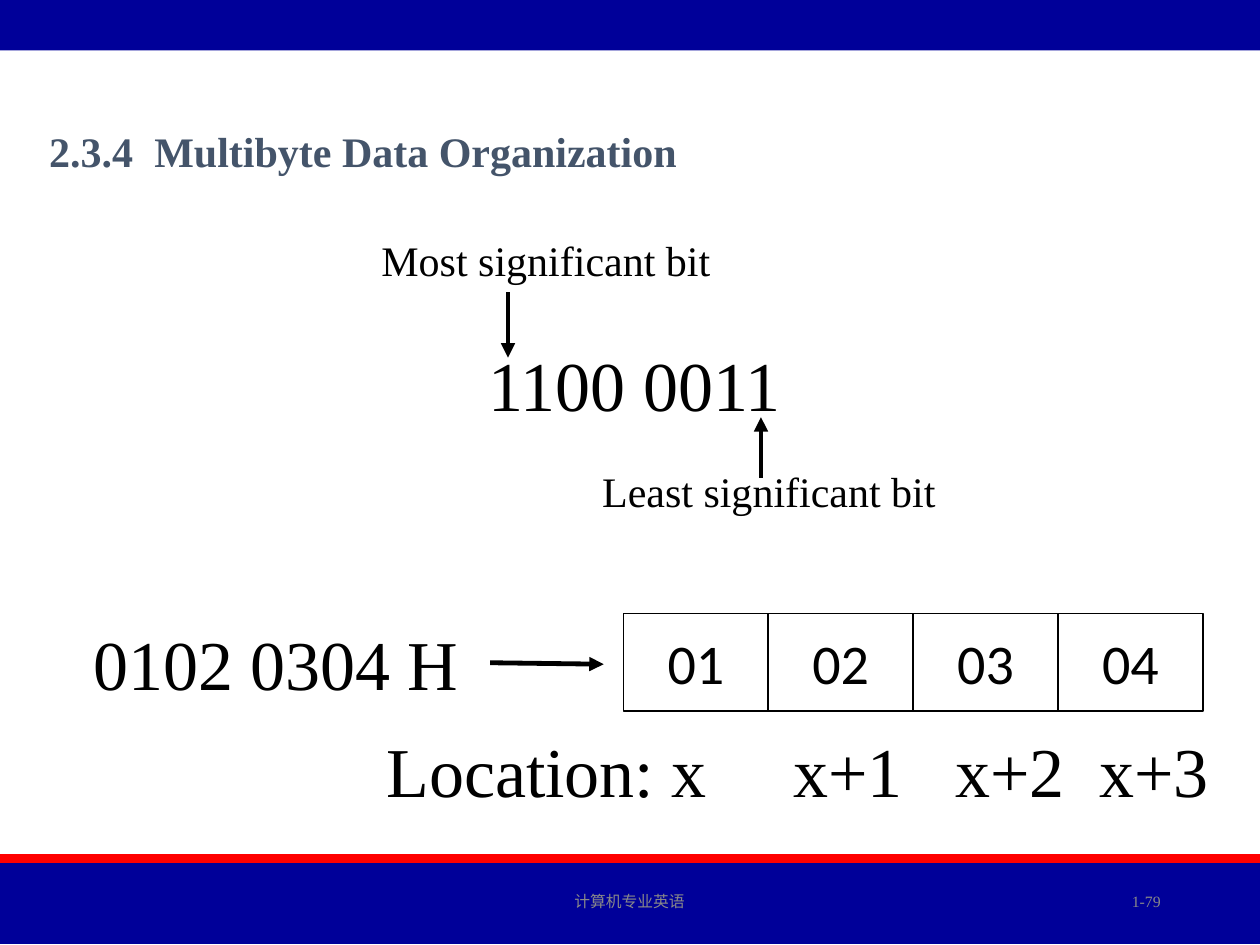
from dataclasses import dataclass

from lxml import etree
from pptx import Presentation
from pptx import util as u
from pptx.dml.color import RGBColor
from pptx.enum import shapes, text
from pptx.oxml.ns import qn


@dataclass(frozen=True)
class Theme:
    navy: str = "000099"
    red: str = "FF0000"
    slate: str = "44546A"
    gray: str = "898989"
    ink: str = "000000"
    serif: str = "Times New Roman"
    sans: str = "Calibri"
    small: int = 9
    label: int = 24
    cell: int = 32
    large: int = 40
    border: float = 1
    arrow: float = 2.75


THEME = Theme()
LEFT, CENTER, RIGHT = text.PP_ALIGN.LEFT, text.PP_ALIGN.CENTER, text.PP_ALIGN.RIGHT
TOP, MIDDLE = text.MSO_ANCHOR.TOP, text.MSO_ANCHOR.MIDDLE

TITLE = ("2.3.4\tMultibyte Data Organization", (0.74, 2.39, 20.73, 1.27), [2.12])
BANDS = [
    (0, 1.02, THEME.navy),
    (17.22, 0.18, THEME.red),
    (17.4, 1.63, THEME.navy),
]
FOOTERS = [
    ("计算机专业英语", (8.41, 17.65, 8.56, 1.02), CENTER),
    ("1-79", (17.93, 17.65, 5.72, 1.02), RIGHT),
]
LABELS = [
    ("1100 0011", (9.6, 6.76, 8.43, 1.96), THEME.large, []),
    ("Most significant bit", (7.44, 4.6, 7.3, 1.27), THEME.label, []),
    ("Least significant bit", (11.89, 9.25, 7.4, 1.27), THEME.label, []),
    ("0102 0304 H", (1.63, 12.37, 8.2, 1.96), THEME.large, []),
    ("Location: x\tx+1\tx+2\tx+3", (7.54, 14.53, 17.4, 1.96), THEME.large,
     [8.2, 11.47, 14.37]),
]
ARROWS = [
    (10.24, 5.89, 10.24, 7.21),
    (15.34, 9.63, 15.34, 8.41),
    (9.88, 13.36, 12.17, 13.39),
]
BYTES = ["01", "02", "03", "04"]
BYTE_LEFT, BYTE_TOP, BYTE_WIDTH, BYTE_HEIGHT = 12.57, 12.37, 2.92, 1.96


def lengths(values):
    return [u.Cm(value) for value in values]


def write(shape, words, size, color=THEME.ink, font=THEME.serif,
          align=LEFT, anchor=TOP, bold=False, tabs=()):
    frame = shape.text_frame
    frame.word_wrap = True
    frame.auto_size = text.MSO_AUTO_SIZE.NONE
    frame.vertical_anchor = anchor
    frame.margin_left = frame.margin_right = u.Cm(0.25)
    frame.margin_top = frame.margin_bottom = u.Cm(0.13)
    frame.text = words
    para = frame.paragraphs[0]
    para.alignment = align
    para.line_spacing = 1.0
    para.space_before = u.Pt(0)
    if tabs:
        stops = etree.SubElement(para._p.get_or_add_pPr(), qn("a:tabLst"))
        for position in tabs:
            etree.SubElement(stops, qn("a:tab"), pos=str(u.Cm(position)), algn="l")
    for span in para.runs:
        span.font.name = font
        span.font.size = u.Pt(size)
        span.font.bold = bold
        span.font.color.rgb = RGBColor.from_string(color)


def add_rectangle(page, place, fill=None):
    box = page.shapes.add_shape(shapes.MSO_SHAPE.RECTANGLE, *lengths(place))
    box.shadow.inherit = False
    if fill:
        box.fill.solid()
        box.fill.fore_color.rgb = RGBColor.from_string(fill)
        box.line.fill.background()
    else:
        box.fill.background()
        box.line.color.rgb = RGBColor.from_string(THEME.ink)
        box.line.width = u.Pt(THEME.border)
    return box


def add_arrow(page, ends):
    arrow = page.shapes.add_connector(shapes.MSO_CONNECTOR.STRAIGHT, *lengths(ends))
    arrow.line.color.rgb = RGBColor.from_string(THEME.ink)
    arrow.line.width = u.Pt(THEME.arrow)
    etree.SubElement(arrow.line._get_or_add_ln(), qn("a:tailEnd"), type="triangle")
    etree.SubElement(arrow._element.spPr, qn("a:effectLst"))


def main():
    deck = Presentation()
    deck.slide_width, deck.slide_height = u.Cm(25.4), u.Cm(19.05)
    page = deck.slides.add_slide(deck.slide_layouts[5])

    for top, height, color in BANDS:
        add_rectangle(page, (0, top, 25.4, height), color)

    words, place, tabs = TITLE
    title = page.shapes.title
    title.left, title.top, title.width, title.height = lengths(place)
    write(title, words, THEME.label, THEME.slate, bold=True, tabs=tabs)

    for words, place, align in FOOTERS:
        box = page.shapes.add_textbox(*lengths(place))
        write(box, words, THEME.small, THEME.gray, align=align, anchor=MIDDLE)

    for words, place, size, tabs in LABELS:
        box = page.shapes.add_textbox(*lengths(place))
        write(box, words, size, tabs=tabs)

    for index, value in enumerate(BYTES):
        left = BYTE_LEFT + index * BYTE_WIDTH
        box = add_rectangle(page, (left, BYTE_TOP, BYTE_WIDTH, BYTE_HEIGHT))
        write(box, value, THEME.cell, font=THEME.sans, align=CENTER, anchor=MIDDLE)

    for ends in ARROWS:
        add_arrow(page, ends)

    deck.save("out.pptx")


if __name__ == "__main__":
    main()
